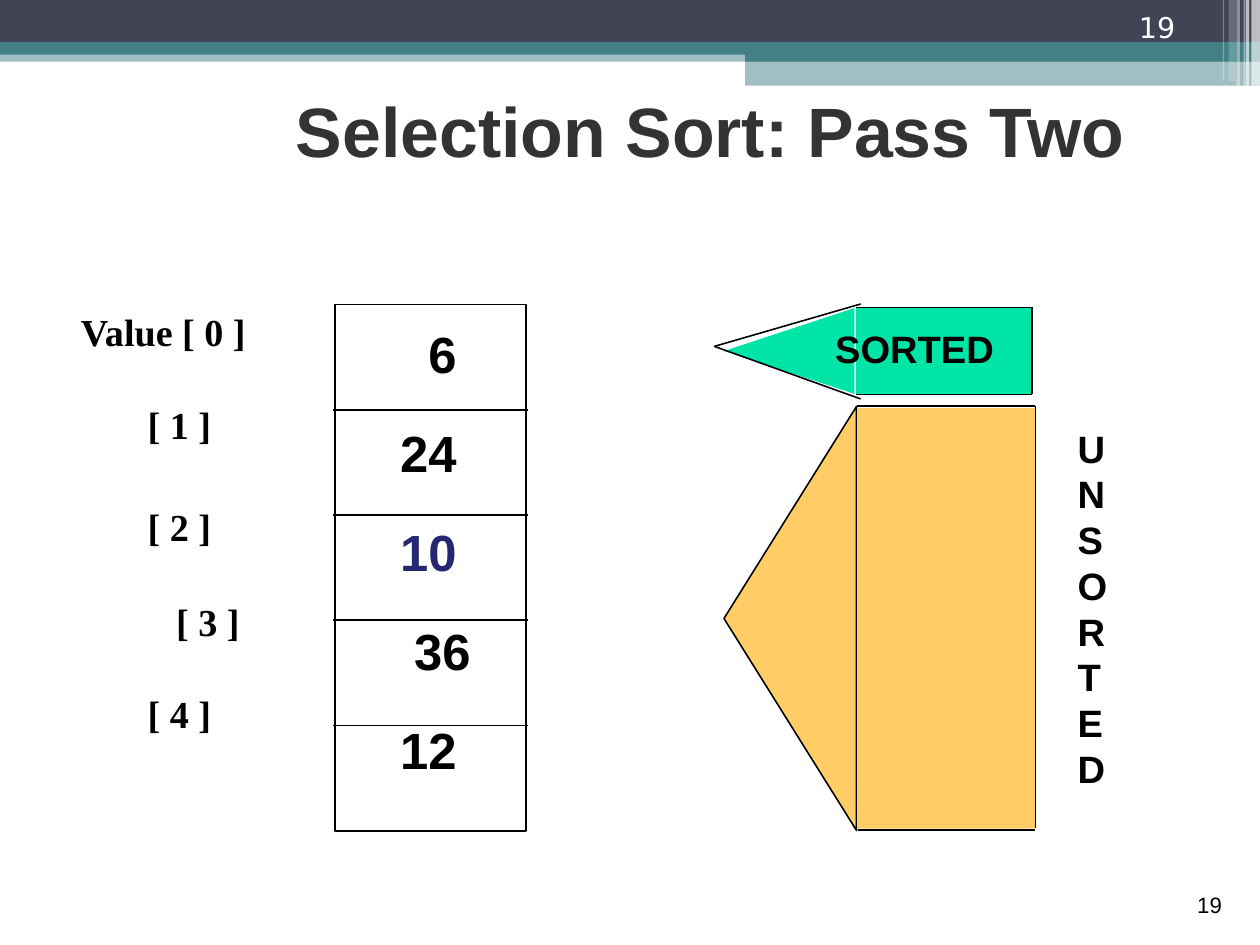
from dataclasses import dataclass

from lxml import etree
from pptx import Presentation
from pptx.dml.color import RGBColor
from pptx.enum.shapes import MSO_CONNECTOR, MSO_SHAPE
from pptx.enum.text import MSO_ANCHOR, PP_ALIGN
from pptx.oxml.ns import qn
from pptx.util import Pt

RECTANGLE = MSO_SHAPE.RECTANGLE
TRIANGLE = MSO_SHAPE.ISOSCELES_TRIANGLE
STRAIGHT = MSO_CONNECTOR.STRAIGHT
TOP, BOTTOM = MSO_ANCHOR.TOP, MSO_ANCHOR.BOTTOM
LEFT, CENTER, RIGHT = PP_ALIGN.LEFT, PP_ALIGN.CENTER, PP_ALIGN.RIGHT


@dataclass(frozen=True)
class Theme:
    navy: str = "424456"
    teal: str = "438086"
    white: str = "FFFFFF"
    black: str = "000000"
    title: str = "333333"
    minimum: str = "262673"
    sorted: str = "00E4A8"
    unsorted: str = "FFCC66"
    sans: str = "Arial"
    serif: str = "Times New Roman"
    header: str = "DejaVu Sans"
    title_size: int = 44
    value_size: int = 32
    label_size: int = 24
    header_size: int = 18
    footer_size: int = 14


def write_para(para, text, *, size, font, color, bold=False, align=LEFT,
               before=0, indent=0):
    """Fill one paragraph; indent and before are in points."""
    para._p.get_or_add_pPr().set("marL", str(Pt(indent)))
    para.alignment = align
    para.space_before = Pt(before)
    span = para.add_run()
    span.text = text
    span.font.size = Pt(size)
    span.font.name = font
    span.font.bold = bold
    span.font.color.rgb = RGBColor.from_string(color)


class SlideBuilder:
    def __init__(self, page, theme):
        self.page = page
        self.theme = theme

    def shape(self, kind, left, top, width, height, fill=None, alpha=100,
              outlined=False, rotation=0):
        shape = self.page.shapes.add_shape(
            kind, Pt(left), Pt(top), Pt(width), Pt(height))
        shape.shadow.inherit = False
        shape.rotation = rotation
        if fill:
            shape.fill.solid()
            shape.fill.fore_color.rgb = RGBColor.from_string(fill)
            if alpha < 100:
                color = shape._element.spPr.find(".//" + qn("a:srgbClr"))
                etree.SubElement(color, qn("a:alpha"), val=str(alpha * 1000))
        else:
            shape.fill.background()
        if outlined:
            shape.line.color.rgb = RGBColor.from_string(self.theme.black)
            shape.line.width = Pt(1)
        else:
            shape.line.fill.background()

    def line(self, x1, y1, x2, y2):
        line = self.page.shapes.add_connector(
            STRAIGHT, Pt(x1), Pt(y1), Pt(x2), Pt(y2))
        line.line.color.rgb = RGBColor.from_string(self.theme.black)
        line.line.width = Pt(1)
        etree.SubElement(line._element.spPr, qn("a:effectLst"))

    def text(self, left, top, width, height, paras, anchor=TOP,
             inset=(7.2, 3.6), **style):
        """Each item of paras is a text and its own format."""
        box = self.page.shapes.add_textbox(
            Pt(left), Pt(top), Pt(width), Pt(height))
        frame = box.text_frame
        frame.word_wrap = True
        frame.vertical_anchor = anchor
        frame.margin_left = frame.margin_right = Pt(inset[0])
        frame.margin_top = frame.margin_bottom = Pt(inset[1])
        for index, (text, own) in enumerate(paras):
            para = frame.add_paragraph() if index else frame.paragraphs[0]
            write_para(para, text, **{**style, **own})


def draw_header(slide, theme):
    # Bands
    for left, top, width, height, fill, alpha in (
            (0, 31.7, 793.75, 7.2, theme.teal, 50),
            (0, 0, 793.75, 27.4, theme.navy, 100),
            (0, 26.6, 793.75, 7.9, theme.teal, 100),
            (469.4, 31, 324.35, 7.9, theme.teal, 100),
            (469.4, 38.2, 324.35, 15.8, theme.teal, 50)):
        slide.shape(RECTANGLE, left, top, width, height, fill, alpha)
    # Stripes at the right edge
    for left, width, height, alpha in (
            (788.4, 5.3, 54, 65), (784.8, 2.2, 54, 65), (783.4, 0.7, 54, 60),
            (779, 2.2, 54, 40), (774, 5, 51.1, 20), (770.4, 0.7, 51.1, 30)):
        slide.shape(RECTANGLE, left, 0, width, height, theme.white, alpha)


def draw_sorted_arrow(slide, theme):
    slide.shape(TRIANGLE, 470.2, 180, 54, 82.1, theme.sorted, rotation=270)
    slide.shape(RECTANGLE, 539.3, 193.7, 110.9, 54.7, theme.sorted)
    for edge in ((539.3, 193.7, 650.2, 193.7), (539.3, 248.4, 650.2, 248.4),
                 (650.2, 193.7, 650.2, 248.4),
                 (450, 218.2, 542.2, 191.5), (450, 218.2, 542.2, 251.3)):
        slide.line(*edge)
    slide.text(519.1, 201.6, 122, 36, [("SORTED", {})], bold=True,
               size=theme.label_size, font=theme.sans, color=theme.black)


def draw_array(slide, theme):
    # Index labels
    labels = [("Value [ 0 ]", {}),
              ("[ 1 ]", {"indent": 42, "before": 29.2}),
              ("[ 2 ]", {"indent": 42, "before": 36}),
              ("[ 3 ]", {"indent": 60, "before": 31}),
              ("[ 4 ]", {"indent": 42, "before": 29.2})]
    slide.text(43.9, 191, 193, 276, labels, bold=True,
               size=theme.label_size, font=theme.serif, color=theme.black)
    # Cells
    left, top, width, row_height, rows = 211.2, 191.8, 120.2, 66.3, 5
    slide.shape(RECTANGLE, left, top, width, row_height * rows, outlined=True)
    for row in range(1, rows):
        y = top + row * row_height
        slide.line(left - 1.4, y, left + width + 1.4, y)
    # Values
    gap = {"before": 24}
    values = [("6", {"indent": 17.8}), ("24", gap),
              ("10", {**gap, "color": theme.minimum}),
              ("36", {**gap, "indent": 8.9}), ("12", gap)]
    slide.text(245, 199.6, 64, 295.2, values, bold=True,
               size=theme.value_size, font=theme.sans, color=theme.black)


def draw_unsorted_arrow(slide, theme):
    slide.shape(TRIANGLE, 364.3, 347.8, 267.1, 83.5, theme.unsorted,
                outlined=True, rotation=270)
    slide.shape(RECTANGLE, 540, 257, 112.3, 265, theme.unsorted)
    for edge in ((540, 255.6, 652.3, 255.6), (540.7, 522.7, 652.3, 522.7),
                 (652.3, 255.6, 652.3, 521.3)):
        slide.line(*edge)
    slide.text(671.8, 264.2, 36, 237.6,
               [(letter, {}) for letter in "UNSORTED"], bold=True,
               size=theme.label_size, font=theme.sans, color=theme.black)


def main():
    theme = Theme()
    deck = Presentation()
    deck.slide_width, deck.slide_height = Pt(793.75), Pt(595.25)
    slide = SlideBuilder(deck.slides.add_slide(deck.slide_layouts[6]), theme)

    draw_header(slide, theme)
    draw_sorted_arrow(slide, theme)
    draw_array(slide, theme)
    draw_unsorted_arrow(slide, theme)

    # Title and page numbers
    slide.text(161, 18.8, 573.8, 92.9, [("Selection Sort: Pass Two", {})],
               anchor=BOTTOM, align=CENTER, bold=True, size=theme.title_size,
               font=theme.sans, color=theme.title)
    slide.text(611.3, 542.2, 165.6, 39.6, [("19", {})], anchor=BOTTOM,
               align=RIGHT, size=theme.footer_size, font=theme.sans,
               color=theme.black)
    slide.text(709.6, 0, 66.2, 31.9, [("19", {})], anchor=BOTTOM,
               inset=(7.9, 4.3), size=theme.header_size, font=theme.header,
               color=theme.white)
    deck.save("out.pptx")


if __name__ == "__main__":
    main()
